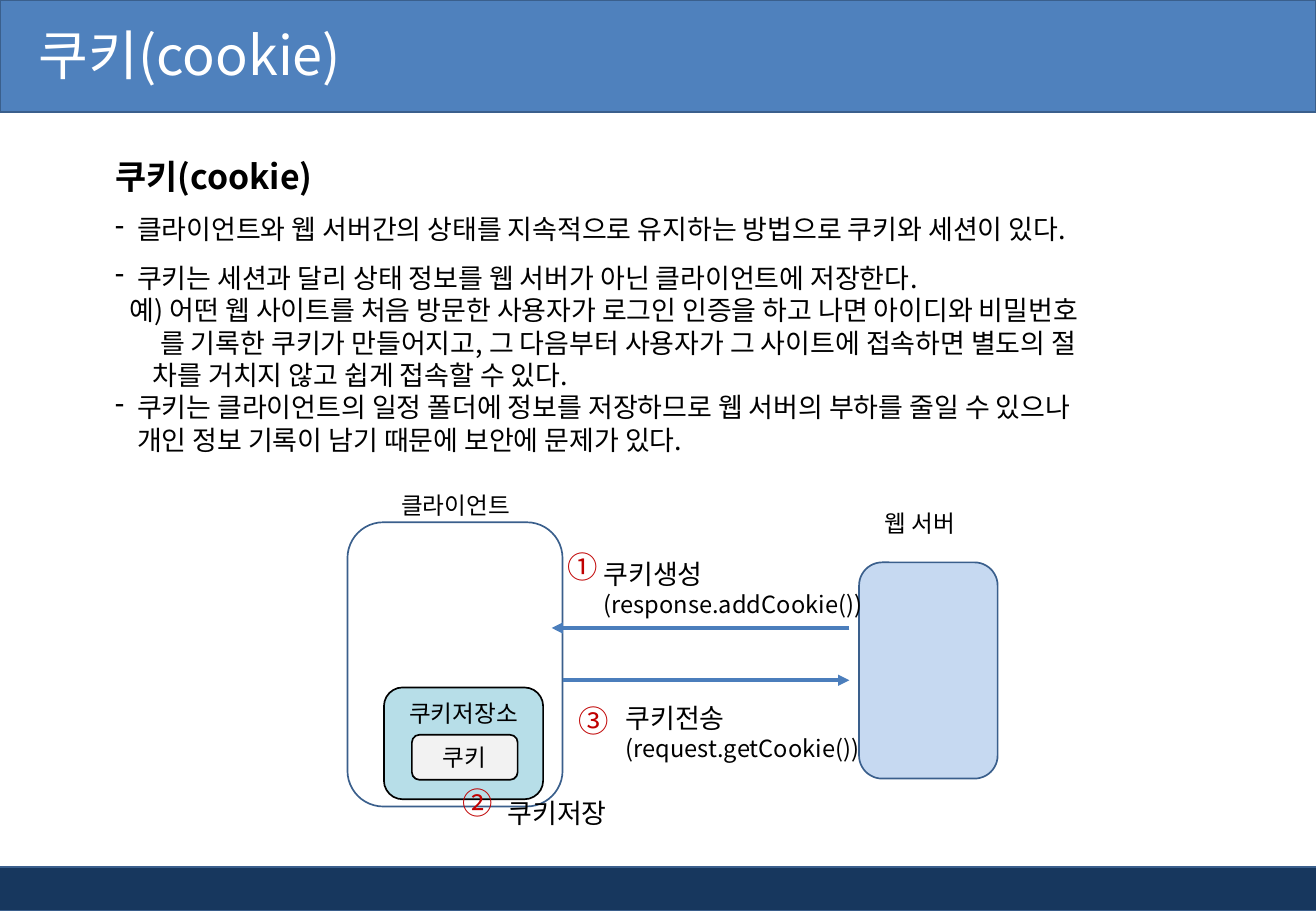
from dataclasses import dataclass
from typing import NamedTuple, Optional

from pptx import Presentation
from pptx.dml.color import RGBColor
from pptx.enum.shapes import MSO_CONNECTOR, MSO_SHAPE
from pptx.enum.text import MSO_ANCHOR, PP_ALIGN
from pptx.oxml.ns import qn
from pptx.util import Inches, Pt

RECT, ROUND = MSO_SHAPE.RECTANGLE, MSO_SHAPE.ROUNDED_RECTANGLE
STRAIGHT = MSO_CONNECTOR.STRAIGHT
TOP, MIDDLE = MSO_ANCHOR.TOP, MSO_ANCHOR.MIDDLE
LEFT, CENTER = PP_ALIGN.LEFT, PP_ALIGN.CENTER

FONT = "Noto Sans CJK KR"
COLORS = {
    "black": "000000", "white": "FFFFFF", "red": "C00000",
    "navy": "17375E", "blue": "4F81BD", "outline": "3A5F8C",
    "arrow": "4B7EBC", "server": "C6D9F1", "store": "B7DEE8",
    "cookie": "F2F2F2",
}


class Area(NamedTuple):
    left: float
    top: float
    width: float
    height: float


@dataclass
class Line:
    text: str
    size: float = 16
    color: str = "black"
    bold: bool = False
    spacing: float = 1.0
    indent: float = 0
    dash: bool = False


@dataclass
class Box:
    area: Area
    fill: Optional[str]
    line: str = "outline"
    kind: int = ROUND
    label: str = ""
    anchor: int = MIDDLE


@dataclass
class Arrow:
    start: float
    end: float
    y: float


def rgb(name: str) -> RGBColor:
    return RGBColor.from_string(COLORS[name])


def write(tf, lines: list[Line], align=LEFT, anchor=TOP) -> None:
    tf.word_wrap = True
    tf.vertical_anchor = anchor
    for i, line in enumerate(lines):
        p = tf.paragraphs[0] if i == 0 else tf.add_paragraph()
        p.text = line.text
        p.alignment = align
        p.line_spacing = line.spacing
        pPr = p._p.get_or_add_pPr()
        if line.indent:
            pPr.set("marL", str(Inches(line.indent)))
        if line.dash:
            pPr.set("indent", str(-Inches(line.indent)))
            bullet = pPr.makeelement(qn("a:buChar"), {"char": "-"})
            pPr.append(bullet)
        r = p.runs[0]
        r.font.name = FONT
        r.font.size = Pt(line.size)
        r.font.bold = line.bold
        r.font.color.rgb = rgb(line.color)
        rPr = r._r.get_or_add_rPr()
        rPr.append(rPr.makeelement(qn("a:ea"), {"typeface": FONT}))


def add_text(s, area: Area, lines: list[Line], align=LEFT, anchor=TOP):
    sp = s.shapes.add_textbox(*map(Inches, area))
    write(sp.text_frame, lines, align, anchor)
    return sp


def add_box(s, box: Box) -> None:
    sp = s.shapes.add_shape(box.kind, *map(Inches, box.area))
    sp.shadow.inherit = False
    if box.fill:
        sp.fill.solid()
        sp.fill.fore_color.rgb = rgb(box.fill)
    else:
        sp.fill.background()
    sp.line.color.rgb = rgb(box.line)
    sp.line.width = Pt(1)
    if box.label:
        write(sp.text_frame, [Line(box.label, 14)], CENTER, box.anchor)


def add_arrow(s, arrow: Arrow) -> None:
    y = Inches(arrow.y)
    sp = s.shapes.add_connector(STRAIGHT, Inches(arrow.start), y, Inches(arrow.end), y)
    sp.line.color.rgb = rgb("arrow")
    sp.line.width = Pt(2.25)
    spPr = sp._element.spPr
    ln = spPr.find(qn("a:ln"))
    ln.append(ln.makeelement(qn("a:tailEnd"), {"type": "triangle"}))
    spPr.append(spPr.makeelement(qn("a:effectLst"), {}))


BARS = [
    Box(Area(-0.04, 7.14, 10.88, 0.36), "navy", kind=RECT),
    Box(Area(0, 0, 10.83, 0.92), "blue", kind=RECT),
]
BODY = [
    Line("쿠키(cookie)", 20, bold=True, spacing=1.5),
    Line("클라이언트와 웹 서버간의 상태를 지속적으로 유지하는 방법으로 쿠키와 세션이 있다.",
         spacing=1.5, indent=0.18, dash=True),
    Line("쿠키는 세션과 달리 상태 정보를 웹 서버가 아닌 클라이언트에 저장한다.",
         spacing=1.5, indent=0.18, dash=True),
    Line("예) 어떤 웹 사이트를 처음 방문한 사용자가 로그인 인증을 하고 나면 아이디와 비밀번호", indent=0.12),
    Line("를 기록한 쿠키가 만들어지고, 그 다음부터 사용자가 그 사이트에 접속하면 별도의 절", indent=0.37),
    Line("차를 거치지 않고 쉽게 접속할 수 있다.", indent=0.31),
    Line("쿠키는 클라이언트의 일정 폴더에 정보를 저장하므로 웹 서버의 부하를 줄일 수 있으나",
         indent=0.18, dash=True),
    Line("개인 정보 기록이 남기 때문에 보안에 문제가 있다.", indent=0.18),
]
BOXES = [
    Box(Area(7.07, 4.63, 1.14, 1.78), "server"),
    Box(Area(2.86, 4.3, 1.77, 2.34), None),
    Box(Area(3.16, 5.66, 1.31, 0.92), "store", "black", label="쿠키저장소", anchor=TOP),
    Box(Area(3.39, 6.05, 0.87, 0.37), "cookie", "black", label="쿠키"),
]
ARROWS = [Arrow(6.99, 4.54, 5.17), Arrow(4.63, 6.99, 5.6)]
NAMES = [
    (Area(3.16, 3.99, 1.18, 0.34), "클라이언트"),
    (Area(7.07, 4.14, 1, 0.34), "웹 서버"),
]
NUMBERS = [("①", 4.54, 4.46), ("②", 3.68, 6.41), ("③", 4.63, 5.73)]
STEPS = [
    (Area(4.87, 4.54, 2.43, 0.61), [Line("쿠키생성"), Line("(response.addCookie())", 14)]),
    (Area(4.08, 6.51, 1.24, 0.37), [Line("쿠키저장")]),
    (Area(5.05, 5.73, 2.18, 0.61), [Line("쿠키전송"), Line("(request.getCookie())", 14)]),
]


def main() -> None:
    prs = Presentation()
    prs.slide_width, prs.slide_height = Inches(10.83), Inches(7.5)
    s = prs.slides.add_slide(prs.slide_layouts[6])

    # Header, footer and title
    for bar in BARS:
        add_box(s, bar)
    title = add_text(s, Area(0, -0.03, 8.74, 0.94),
                     [Line("쿠키(cookie)", 32, "white")], anchor=MIDDLE)
    title.text_frame.margin_left = Inches(0.32)

    # Explanation
    add_text(s, Area(0.85, 1.07, 9.29, 2.76), BODY)

    # Client and server diagram
    for box in BOXES:
        add_box(s, box)
    for arrow in ARROWS:
        add_arrow(s, arrow)
    for area, name in NAMES:
        add_text(s, area, [Line(name, 14)], CENTER)

    # Numbered steps
    for number, left, top in NUMBERS:
        add_text(s, Area(left, top, 0.51, 0.4), [Line(number, 18, "red")], CENTER)
    for area, lines in STEPS:
        add_text(s, area, lines)

    prs.save("out.pptx")


if __name__ == "__main__":
    main()
